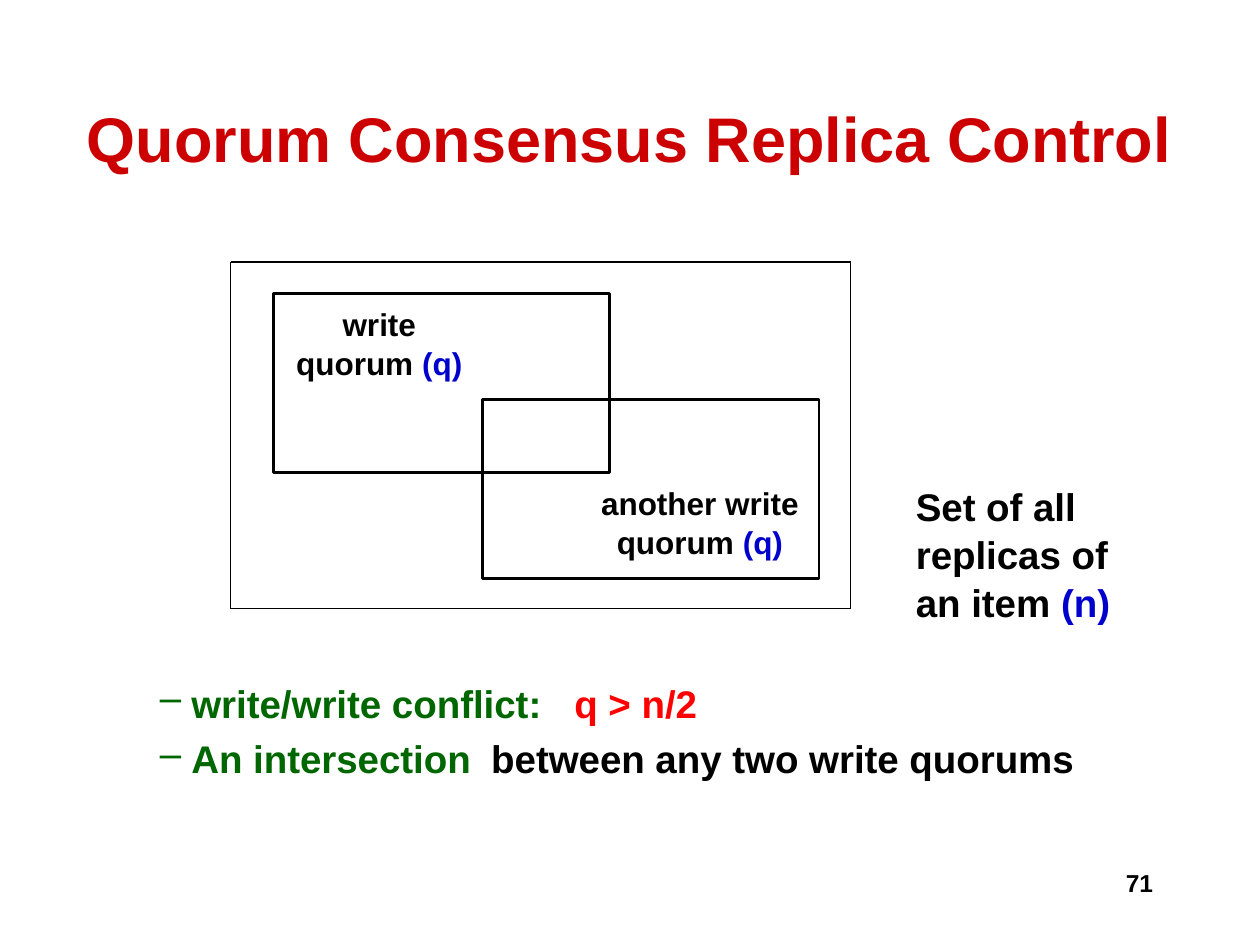
"""Build the quorum consensus replica control slide."""
from pptx import Presentation
from pptx import util as u
from pptx.dml.color import RGBColor
from pptx.enum import shapes, text
from pptx.oxml import ns, xmlchemy

COLORS = {
    "title": "CC0000",
    "ink": "000000",
    "symbol": "0000CC",
    "term": "006600",
    "formula": "FF0000",
}
ALIGN = text.PP_ALIGN
FRAME = (1.83, 2.08, 6.75, 4.83)
QUORUM_SIZE = (2.67, 1.42)


def inches(*values):
    """Convert numbers to lengths."""
    return [u.Inches(value) for value in values]


def color(name):
    """Look up a palette colour."""
    return RGBColor.from_string(COLORS[name])


def style(para, size, align=ALIGN.LEFT):
    """Apply the bold Arial style to a paragraph."""
    para.alignment = align
    para.line_spacing = 1.04
    para.font.name = "Arial"
    para.font.size = u.Pt(size)
    para.font.bold = True


def add_spans(para, spans):
    """Add (wording, colour name) runs to a paragraph."""
    for wording, name in spans:
        span = para.add_run()
        span.text = wording
        span.font.color.rgb = color(name)


def add_text(page, place, lines, size, align=ALIGN.LEFT, wrap=True):
    """Add a text box with one paragraph per line and return its paragraphs."""
    frame = page.shapes.add_textbox(*inches(*place)).text_frame
    frame.word_wrap = wrap
    for index, spans in enumerate(lines):
        para = frame.add_paragraph() if index else frame.paragraphs[0]
        add_spans(para, spans)
        style(para, size, align)
    return frame.paragraphs


def add_dash(para, tab):
    """Give a paragraph a hanging dash and one tab stop."""
    props = para._p.get_or_add_pPr()
    props.set("marL", str(u.Inches(0.25)))
    props.set("indent", str(-u.Inches(0.25)))
    bullet = xmlchemy.OxmlElement("a:buChar")
    bullet.set("char", "–")
    stops = xmlchemy.OxmlElement("a:tabLst")
    stop = xmlchemy.OxmlElement("a:tab")
    stop.set("pos", str(u.Inches(tab)))
    stop.set("algn", "l")
    stops.append(stop)
    props.extend([bullet, stops])


def add_points(page, place, points):
    """Add dashed points, each with its own tab stop."""
    frame = page.shapes.add_textbox(*inches(*place)).text_frame
    frame.word_wrap = True
    for index, (tab, spans) in enumerate(points):
        para = frame.add_paragraph() if index else frame.paragraphs[0]
        add_dash(para, tab)
        add_spans(para, spans)
        style(para, 22)
        if index:
            para.space_before = u.Pt(4.4)


def add_line(page, start, end):
    """Add a thin straight line."""
    line = page.shapes.add_connector(
        shapes.MSO_CONNECTOR.STRAIGHT, *inches(*start, *end))
    line.line.color.rgb = color("ink")
    line.line.width = u.Pt(0.75)
    line._element.find(ns.qn("p:spPr")).append(
        xmlchemy.OxmlElement("a:effectLst"))


def add_frame(page, left, top, right, bottom):
    """Outline the set of all replicas with four lines."""
    for x in (left, right):
        add_line(page, (x, top), (x, bottom))
    for y in (top, bottom):
        add_line(page, (left, y), (right, y))


def add_quorum(page, corner, label_place, label, wrap):
    """Add a quorum's label and its unfilled rectangle."""
    lines = [[(label, "ink")], [("quorum ", "ink"), ("(q)", "symbol")]]
    add_text(page, label_place, lines, 18, ALIGN.CENTER, wrap)
    box = page.shapes.add_shape(
        shapes.MSO_SHAPE.RECTANGLE, *inches(*corner, *QUORUM_SIZE))
    box.shadow.inherit = False
    box.fill.background()
    box.line.color.rgb = color("ink")
    box.line.width = u.Pt(1.5)


def set_title(page, place, wording):
    """Place and format the title."""
    title = page.shapes.title
    title.left, title.top, title.width, title.height = inches(*place)
    frame = title.text_frame
    frame.margin_left = frame.margin_right = 0
    frame.vertical_anchor = text.MSO_ANCHOR.MIDDLE
    frame.text = wording
    para = frame.paragraphs[0]
    style(para, 36, ALIGN.CENTER)
    para.font.color.rgb = color("title")


def main():
    """Build and save the deck."""
    deck = Presentation()
    deck.slide_width, deck.slide_height = inches(10, 7.5)
    page = deck.slides.add_slide(deck.slide_layouts[5])
    add_text(page, (7.17, 6.83, 2.08, 0.5), [[("71", "ink")]], 14, ALIGN.RIGHT)
    set_title(page, (0.58, 0.58, 8.83, 1), "Quorum Consensus Replica Control")
    add_text(page, (7.17, 3.77, 1.75, 1.2), [
        [("Set of all", "ink")],
        [("replicas of", "ink")],
        [("an item ", "ink"), ("(n)", "symbol")],
    ], 22, wrap=False)
    add_points(page, (1.17, 5.33, 7.58, 0.91), [
        (3.29, [("write/write conflict:\t", "term"), ("q > n/2", "formula")]),
        (2.63, [("An intersection\t", "term"),
                ("between any two write quorums", "ink")]),
    ])
    add_frame(page, *FRAME)
    add_quorum(page, (2.17, 2.33), (2.25, 2.36, 1.52, 0.7), "write", False)
    add_quorum(page, (3.83, 3.17), (4.62, 3.78, 1.87, 0.7),
               "another write", True)
    deck.save("out.pptx")


if __name__ == "__main__":
    main()
